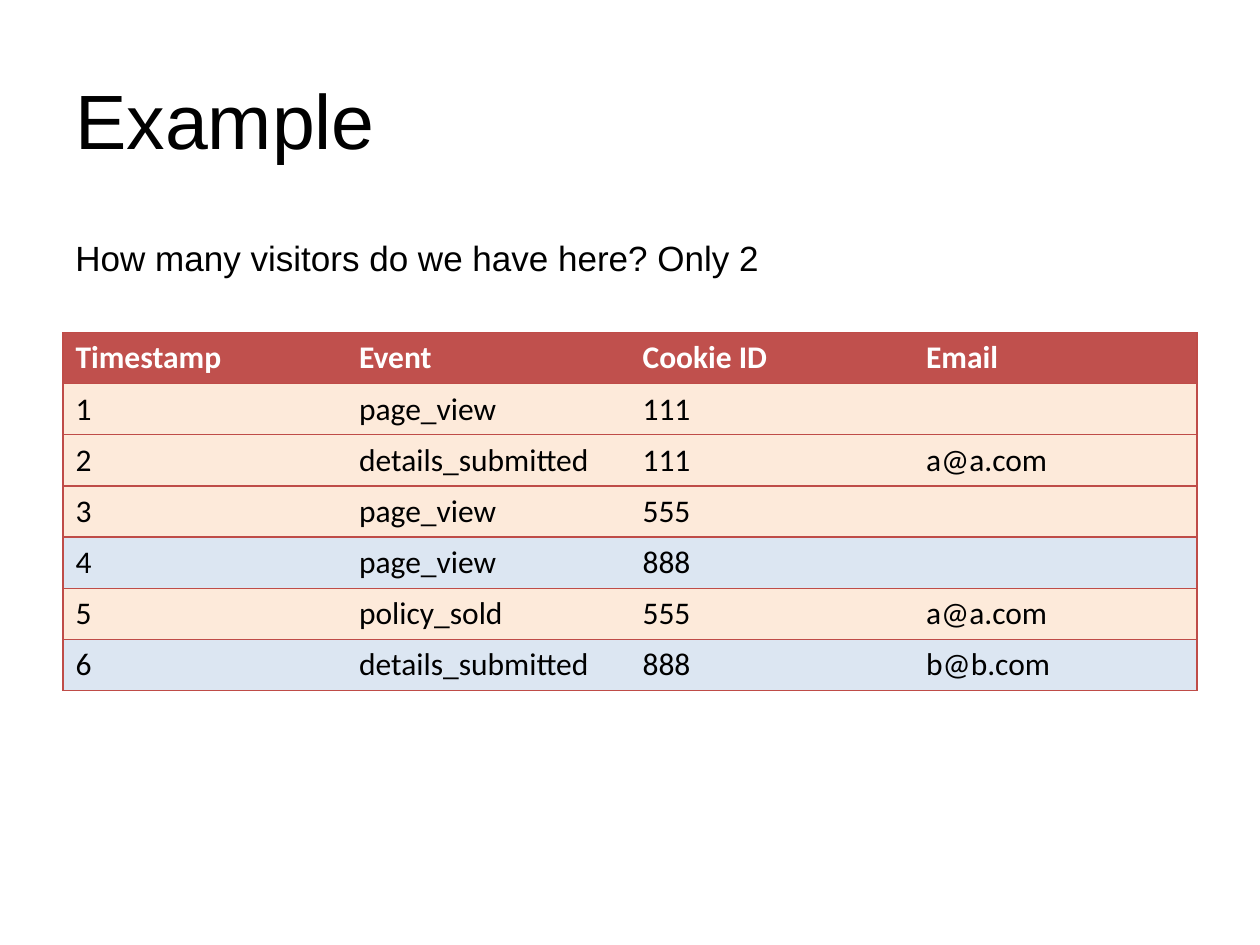
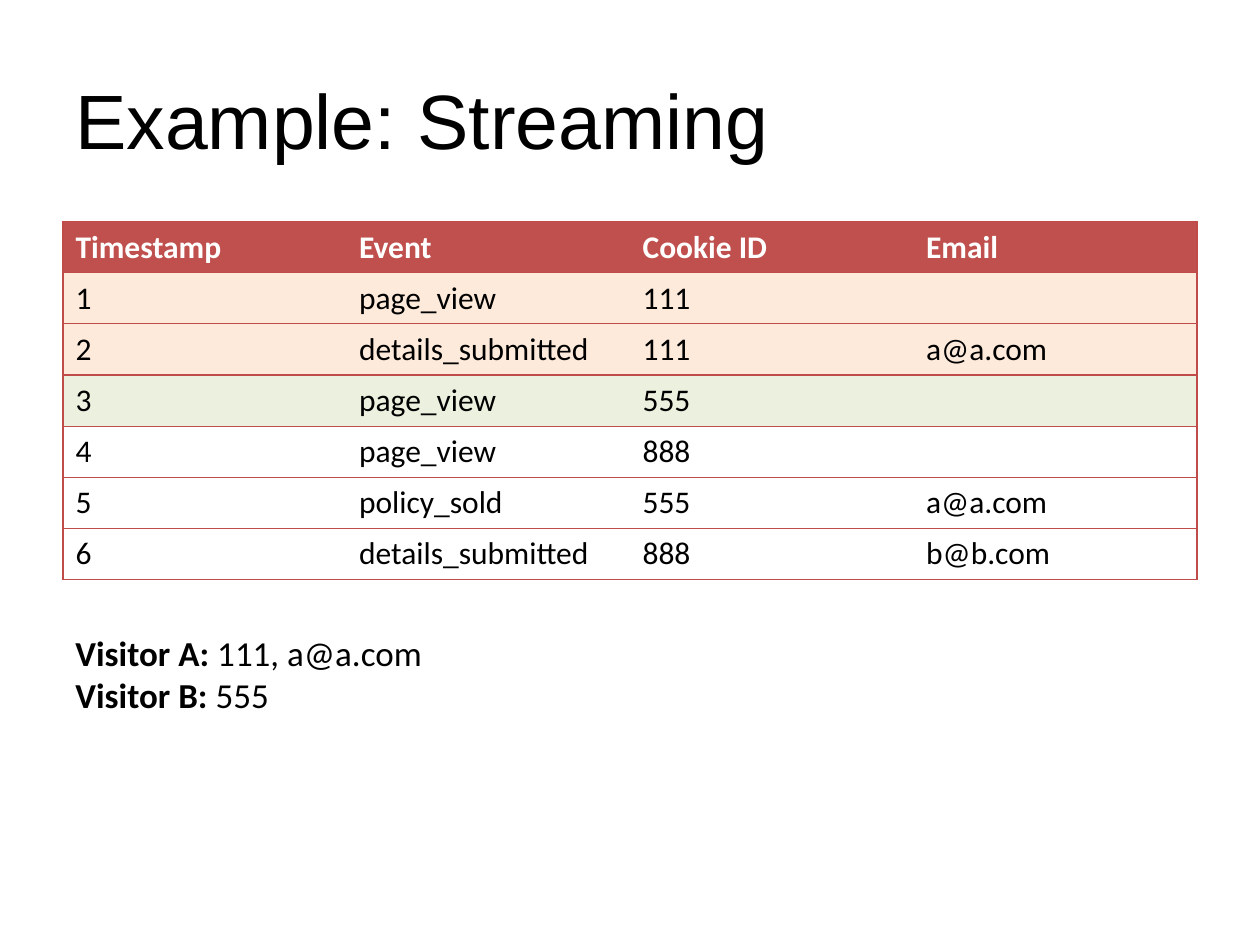
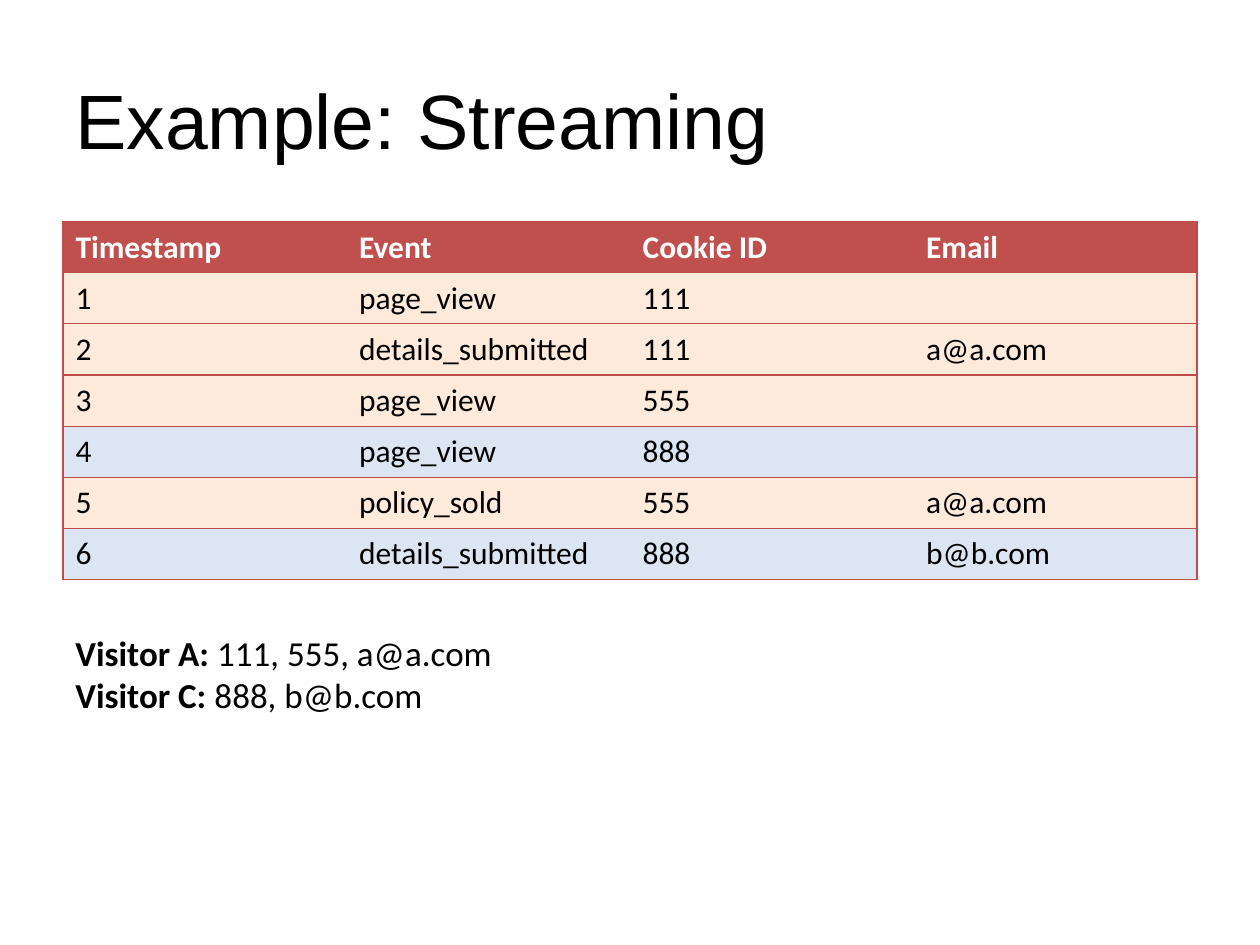
from dataclasses import dataclass

import pptx
import pptx.dml.color
import pptx.enum.text
import pptx.oxml
import pptx.oxml.ns
import pptx.presentation
import pptx.slide
import pptx.text.text
import pptx.util

RGBColor = pptx.dml.color.RGBColor
ANCHOR = pptx.enum.text.MSO_ANCHOR

# Scale: 100 px to the inch
PX = 9144

# Colours
BLACK = RGBColor(0x00, 0x00, 0x00)
WHITE = RGBColor(0xFF, 0xFF, 0xFF)
HEADER_RED = RGBColor(0xC0, 0x50, 0x4D)
BORDER_RED = RGBColor(0xBF, 0x4C, 0x48)
ORANGE = RGBColor(0xFD, 0xEA, 0xDA)
BLUE = RGBColor(0xDC, 0xE6, 0xF2)
GREEN = RGBColor(0xEB, 0xF1, 0xDE)

# Shared layout and fonts
LEFT, CONTENT_WIDTH = 50, 900
TABLE_HEIGHT = 284
HEADING_FONT, BODY_FONT = "Arial", "Calibri"
PLAIN_TABLE_STYLE = "{2D5ABB26-0587-4C30-8999-92F81FD0307C}"

# Event log shown on every slide
EVENT_LOG = [
    ("Timestamp", "Event", "Cookie ID", "Email"),
    ("1", "page_view", "111", ""),
    ("2", "details_submitted", "111", "a@a.com"),
    ("3", "page_view", "555", ""),
    ("4", "page_view", "888", ""),
    ("5", "policy_sold", "555", "a@a.com"),
    ("6", "details_submitted", "888", "b@b.com"),
]
RESOLVED_FILLS = (ORANGE, ORANGE, ORANGE, BLUE, ORANGE, BLUE)
PARTIAL_FILLS = (ORANGE, ORANGE, GREEN, None, None, None)


@dataclass(frozen=True)
class Box:
    left: int
    top: int
    width: int
    height: int

    def emu(self) -> tuple[int, int, int, int]:
        return (self.left * PX, self.top * PX, self.width * PX, self.height * PX)


@dataclass(frozen=True)
class Visitor:
    label: str
    identifiers: str


@dataclass(frozen=True)
class ExampleSlide:
    title: str
    table_top: int
    row_fills: tuple[RGBColor | None, ...]
    question: str = ""
    visitors: tuple[Visitor, ...] = ()
    visitors_width: int = 0


EXAMPLES = [
    ExampleSlide("Example", 264, RESOLVED_FILLS,
                 question="How many visitors do we have here? Only 2"),
    ExampleSlide("Example: Streaming", 176, PARTIAL_FILLS,
                 visitors=(Visitor("Visitor A:", "111, a@a.com"),
                           Visitor("Visitor B:", "555")),
                 visitors_width=298),
    ExampleSlide("Example: Streaming", 176, RESOLVED_FILLS,
                 visitors=(Visitor("Visitor A:", "111, 555, a@a.com"),
                           Visitor("Visitor C:", "888, b@b.com")),
                 visitors_width=354),
]


def add_text(paragraph: pptx.text.text._Paragraph, text: str, *, size: int,
             font: str = BODY_FONT, color: RGBColor = BLACK,
             bold: bool = False, line_spacing: int | None = None) -> None:
    """Append one formatted run to a paragraph."""
    if line_spacing:
        paragraph.line_spacing = pptx.util.Pt(line_spacing)
    run = paragraph.add_run()
    run.text = text
    run.font.size = pptx.util.Pt(size)
    run.font.name = font
    run.font.color.rgb = color
    run.font.bold = bold


def add_text_frame(slide: pptx.slide.Slide, box: Box,
                   anchor: ANCHOR = ANCHOR.TOP) -> pptx.text.text.TextFrame:
    text_frame = slide.shapes.add_textbox(*box.emu()).text_frame
    text_frame.word_wrap = True
    text_frame.vertical_anchor = anchor
    return text_frame


def add_cell_borders(cell: pptx.table._Cell, sides: list[str]) -> None:
    """Draw the given sides; border elements must precede the cell fill."""
    properties = cell._tc.get_or_add_tcPr()
    for index, side in enumerate(sides):
        properties.insert(index, pptx.oxml.parse_xml(
            f'<a:{side} {pptx.oxml.ns.nsdecls("a")} w="9525">'
            f'<a:solidFill><a:srgbClr val="{BORDER_RED}"/></a:solidFill></a:{side}>'))


def add_event_table(slide: pptx.slide.Slide, top: int,
                    row_fills: tuple[RGBColor | None, ...]) -> None:
    last_column = len(EVENT_LOG[0]) - 1
    box = Box(LEFT, top, CONTENT_WIDTH, TABLE_HEIGHT)
    table = slide.shapes.add_table(len(EVENT_LOG), last_column + 1, *box.emu()).table
    table.horz_banding = False
    style = table._tbl.tblPr.find(pptx.oxml.ns.qn("a:tableStyleId"))
    style.text = PLAIN_TABLE_STYLE

    for row, (values, fill) in enumerate(zip(EVENT_LOG, (HEADER_RED, *row_fills))):
        is_header = row == 0
        for column, value in enumerate(values):
            cell = table.cell(row, column)
            if fill is None:
                cell.fill.background()
            else:
                cell.fill.solid()
                cell.fill.fore_color.rgb = fill
            sides = ["lnL"] if column == 0 else []
            sides += ["lnR"] if column == last_column else []
            add_cell_borders(cell, sides + ["lnT", "lnB"])
            if value:
                add_text(cell.text_frame.paragraphs[0], value, size=18,
                         color=WHITE if is_header else BLACK, bold=is_header)


def add_visitors(slide: pptx.slide.Slide, visitors: tuple[Visitor, ...],
                 width: int) -> None:
    text_frame = add_text_frame(slide, Box(LEFT, 496, width, 111))
    for index, visitor in enumerate(visitors):
        paragraph = text_frame.add_paragraph() if index else text_frame.paragraphs[0]
        add_text(paragraph, visitor.label, size=20, bold=True)
        add_text(paragraph, f" {visitor.identifiers}", size=20)


def add_example_slide(presentation: pptx.presentation.Presentation,
                      example: ExampleSlide) -> None:
    slide = presentation.slides.add_slide(presentation.slide_layouts[6])

    # Title
    title_frame = add_text_frame(slide, Box(LEFT, 42, CONTENT_WIDTH, 116), ANCHOR.MIDDLE)
    add_text(title_frame.paragraphs[0], example.title, size=44,
             font=HEADING_FONT, line_spacing=44)

    # Question above the table
    if example.question:
        question_frame = add_text_frame(slide, Box(LEFT, 183, CONTENT_WIDTH, 418))
        add_text(question_frame.paragraphs[0], example.question, size=20,
                 font=HEADING_FONT, line_spacing=24)

    add_event_table(slide, example.table_top, example.row_fills)

    # Identified visitors below the table
    if example.visitors:
        add_visitors(slide, example.visitors, example.visitors_width)


def main() -> None:
    presentation = pptx.Presentation()
    presentation.slide_width = 1000 * PX
    presentation.slide_height = 750 * PX
    for example in EXAMPLES:
        add_example_slide(presentation, example)
    presentation.save("out.pptx")


if __name__ == "__main__":
    main()
